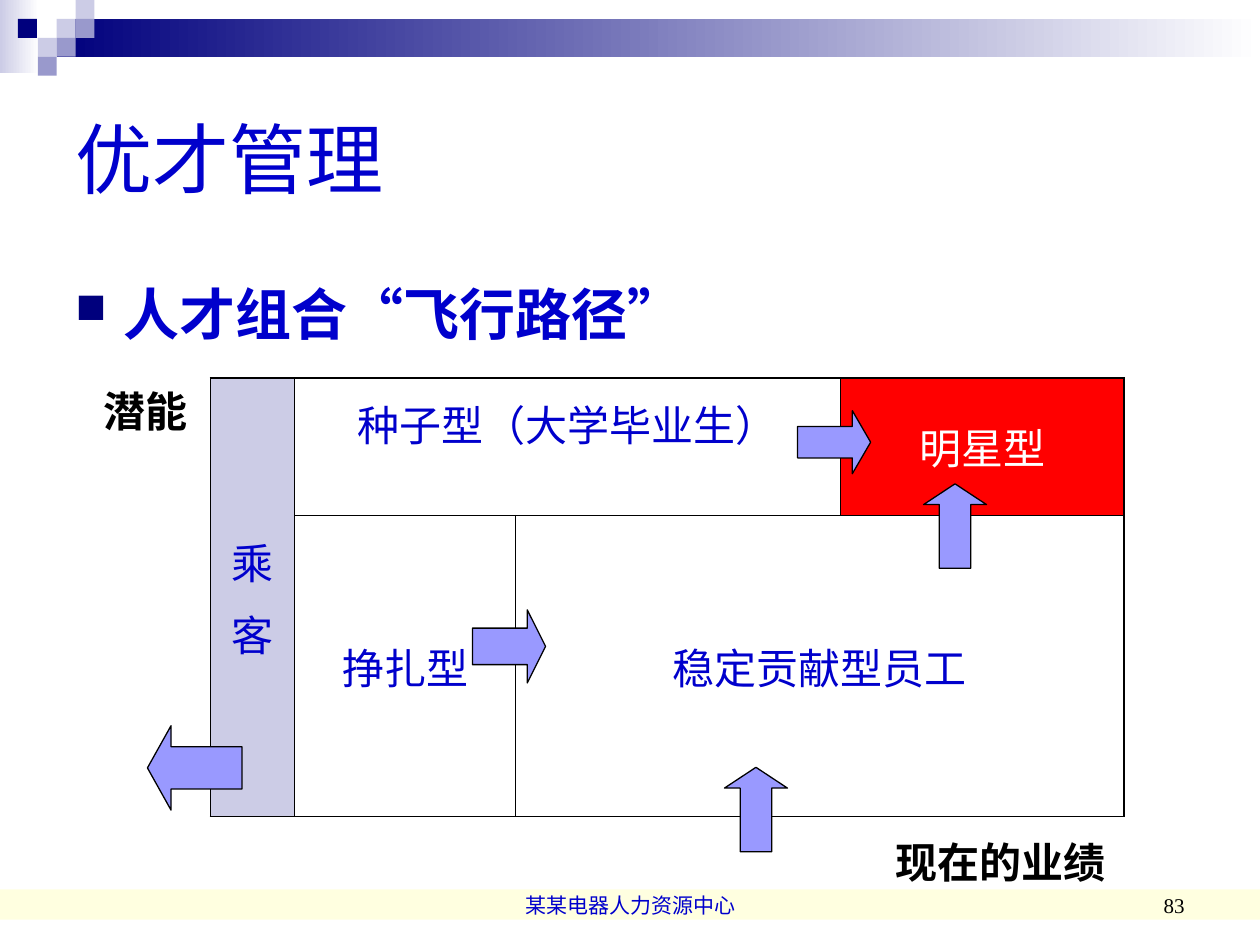
from lxml import etree
from pptx import Presentation
from pptx.dml.color import RGBColor
from pptx.enum import shapes, text
from pptx.oxml import parse_xml
from pptx.oxml.ns import nsdecls, qn
from pptx.util import Inches, Pt

SHAPE = shapes.MSO_SHAPE
ALIGN = text.PP_ALIGN
ANCHOR = text.MSO_ANCHOR
FIT = text.MSO_AUTO_SIZE
BLUE, NAVY, LILAC, MID = "0000CC", "00007D", "CCCCE6", "9999CC"
BLACK, WHITE, RED = "000000", "FFFFFF", "FF0000"


def tint(code):
    return RGBColor.from_string(code)


def block(slide, kind, box, fill, line=None):
    shape = slide.shapes.add_shape(kind, *map(Inches, box))
    shape.shadow.inherit = False
    shape.fill.solid()
    shape.fill.fore_color.rgb = tint(fill)
    if line:
        shape.line.color.rgb = tint(line)
        shape.line.width = Pt(0.75)
    else:
        shape.line.fill.background()
    return shape


def fade(slide, box, start):
    shape = block(slide, SHAPE.RECTANGLE, box, start)
    shape.fill.gradient()
    shape.fill.gradient_angle = 0
    for stop, code in zip(shape.fill.gradient_stops, (start, WHITE)):
        stop.color.rgb = tint(code)


def write(para, words, size, color=BLUE, font="Arial", bold=False, align=None):
    para.alignment = align
    run = para.add_run()
    run.text = words
    run.font.size = Pt(size)
    run.font.name = font
    run.font.bold = bold
    run.font.color.rgb = tint(color)


def label(slide, box, words, size, anchor=ANCHOR.TOP, wrap=True, **look):
    frame = slide.shapes.add_textbox(*map(Inches, box)).text_frame
    frame.word_wrap = wrap
    frame.auto_size = FIT.NONE if wrap else FIT.SHAPE_TO_FIT_TEXT
    frame.vertical_anchor = anchor
    write(frame.paragraphs[0], words, size, **look)
    return frame.paragraphs[0]


def header(slide):
    fade(slide, (0, 0, 0.31, 0.58), LILAC)
    fade(slide, (0.45, 0.15, 9.55, 0.3), NAVY)
    unit = 0.15
    for col, row, code in ((3, 1, LILAC), (4, 0, LILAC), (4, 1, MID), (2, 2, LILAC),
                           (0.95, 1, NAVY), (3, 2, MID), (2, 3, MID)):
        block(slide, SHAPE.RECTANGLE, (col * unit, row * unit, unit, unit), code)


def footer(slide, box):
    left, top, width, height = box
    band = block(slide, SHAPE.RECTANGLE, box, "FFFF99")
    color = band.fill._xPr.find(".//" + qn("a:srgbClr"))
    etree.SubElement(color, qn("a:alpha")).set("val", "30000")
    top += height - 0.47
    label(slide, (left + 3.42, top, 3.17, 0.5), "某某电器人力资源中心", 12,
          ANCHOR.BOTTOM, font="Times New Roman", align=ALIGN.CENTER)
    label(slide, (left + 7.17, top, 2.33, 0.5), "83", 12, ANCHOR.BOTTOM,
          color=BLACK, font="Times New Roman", align=ALIGN.RIGHT)


def point(slide, box):
    para = label(slide, box, "人才组合“飞行路径”", 32, bold=True)
    props = para._p.get_or_add_pPr()
    props.set("marL", str(Inches(0.38)))
    props.set("indent", str(-Inches(0.38)))
    for part in (f'<a:buClr {nsdecls("a")}><a:srgbClr val="{NAVY}"/></a:buClr>',
                 f'<a:buSzPct {nsdecls("a")} val="75000"/>',
                 f'<a:buChar {nsdecls("a")} char="■"/>'):
        props.append(parse_xml(part))


def edge(cell, side, width):
    cell._tc.get_or_add_tcPr().append(parse_xml(
        f'<a:ln{side} {nsdecls("a")} w="{Pt(width)}"><a:solidFill>'
        f'<a:srgbClr val="{BLACK}"/></a:solidFill></a:ln{side}>'))


def region(table, row, col, rows, cols, lines, fill=None, color=BLUE):
    last, end = row + rows - 1, col + cols - 1
    for r in range(row, last + 1):
        for c in range(col, end + 1):
            cell = table.cell(r, c)
            for side, outer in (("L", col == 0), ("R", end == 3),
                                ("T", row == 0), ("B", last == 1)):
                edge(cell, side, 1.08 if outer else 0.45)
            if fill:
                cell.fill.solid()
                cell.fill.fore_color.rgb = tint(fill)
            else:
                cell.fill.background()
    cell = table.cell(row, col)
    if rows * cols > 1:
        cell.merge(table.cell(last, end))
    cell.vertical_anchor = ANCHOR.MIDDLE
    frame = cell.text_frame
    for i, words in enumerate(lines):
        para = frame.add_paragraph() if i else frame.paragraphs[0]
        write(para, words, 24, color, align=ALIGN.CENTER)
        if i:
            para.space_before = Pt(6)
    return cell


def matrix(slide, box):
    table = slide.shapes.add_table(2, 4, *map(Inches, box)).table
    table.first_row = table.horz_banding = False
    for col, width in zip(table.columns, (0.67, 1.75, 2.58, 2.25)):
        col.width = Inches(width)
    for row, height in zip(table.rows, (1.09, 2.39)):
        row.height = Inches(height)
    region(table, 0, 0, 2, 1, ("乘", "客"), LILAC)
    seed = region(table, 0, 1, 1, 2, ("种子型（大学毕业生）",))
    seed.margin_bottom = Inches(0.42)
    region(table, 0, 3, 1, 1, ("明星型",), RED, WHITE)
    region(table, 1, 1, 1, 1, ("挣扎型",))
    region(table, 1, 2, 1, 2, ("稳定贡献型员工",))


def paths(slide, left, top):
    for kind, x, y, width, height, head in (
            (SHAPE.LEFT_ARROW, -0.5, 2.76, 0.75, 0.67, 0.28),
            (SHAPE.RIGHT_ARROW, 2.08, 1.84, 0.58, 0.58, 0.25),
            (SHAPE.RIGHT_ARROW, 4.66, 0.26, 0.58, 0.5, 0.29),
            (SHAPE.UP_ARROW, 4.08, 3.09, 0.5, 0.67, 0.33),
            (SHAPE.UP_ARROW, 5.66, 0.84, 0.5, 0.67, 0.33)):
        arrow = block(slide, kind, (left + x, top + y, width, height), "9999FF", BLACK)
        arrow.adjustments[0] = 0.5
        arrow.adjustments[1] = head


def axes(slide, left, top):
    for x, y, width, words in ((-0.95, 0.01, 0.88, "潜能"), (5.34, 3.59, 1.88, "现在的业绩")):
        label(slide, (left + x, top + y, width, 0.5), words, 24, wrap=False,
              color=BLACK, font="Times New Roman", bold=True)


def main():
    deck = Presentation()
    deck.slide_width, deck.slide_height = Inches(10), Inches(7.5)
    slide = deck.slides.add_slide(deck.slide_layouts[6])
    left, top = 1.67, 3
    footer(slide, (0, 7.06, 10, 0.24))
    header(slide)
    label(slide, (0.5, 0.5, 9, 1.5), "优才管理", 44, ANCHOR.MIDDLE)
    point(slide, (0.5, 2.17, 9, 0.75))
    matrix(slide, (left, top, 7.25, 3.48))
    paths(slide, left, top)
    axes(slide, left, top)
    deck.save("out.pptx")


if __name__ == "__main__":
    main()
